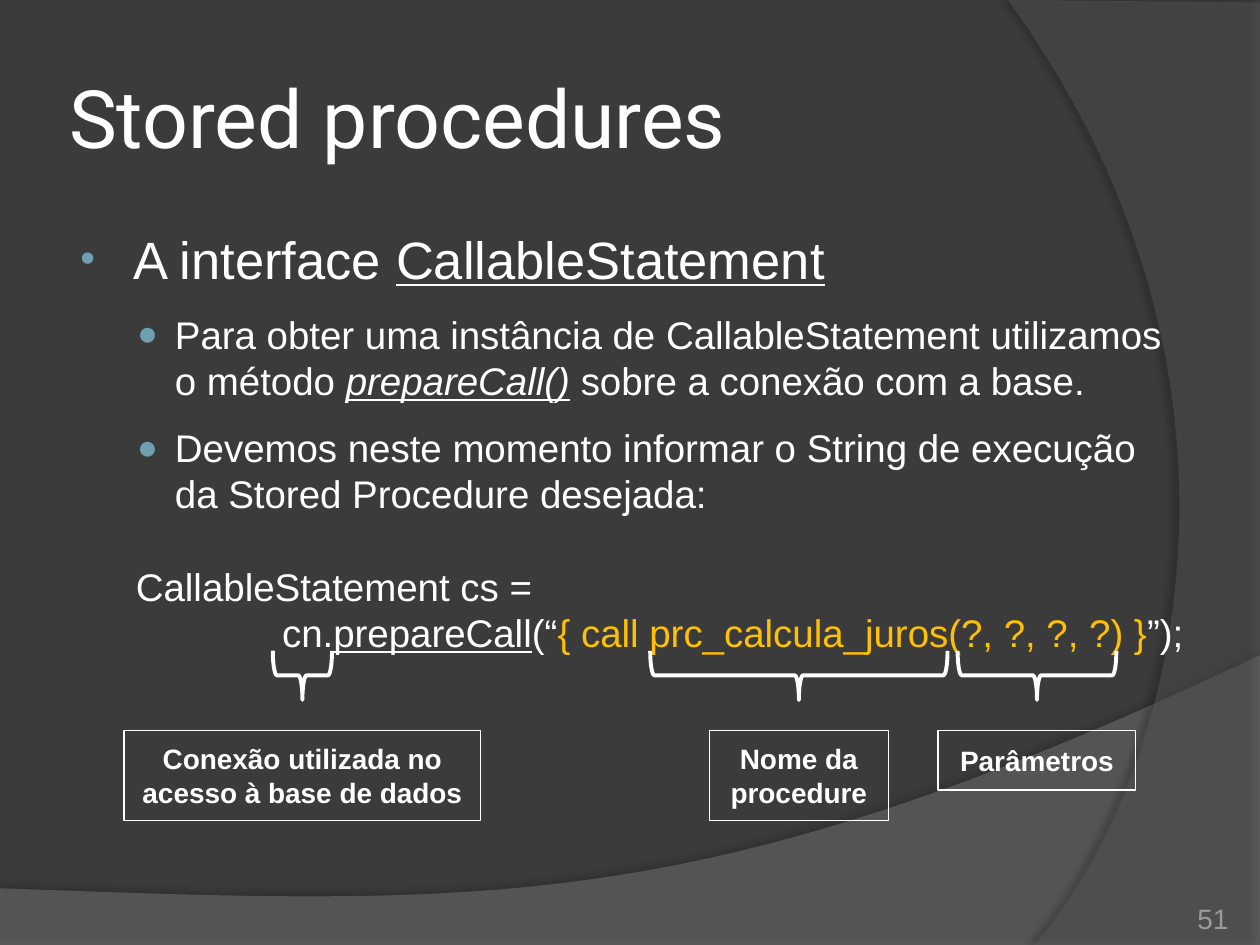
from lxml.etree import SubElement
from pptx import Presentation
from pptx.dml.color import RGBColor as Rgb
from pptx.enum.shapes import MSO_SHAPE as Preset
from pptx.enum.text import MSO_ANCHOR as Anchor, PP_ALIGN as Align
from pptx.oxml.ns import qn
from pptx.util import Inches, Pt

COLORS = {
    "background": "3B3B3B", "wave": "7F7F7F", "arc": "5E5E5E", "shadow": "000000",
    "text": "FFFFFF", "bullet": "6EA0B0", "call": "FFC000", "number": "9D9B9A",
}
TITLE = {"name": "Roboto", "size": Pt(46)}
HEADING = {"name": "Arial", "size": Pt(30)}
BODY = {"name": "Arial", "size": Pt(22)}
LABEL = {"name": "Arial", "size": Pt(16), "bold": True}
NUMBER = {"name": "Arial", "size": Pt(16)}
UNDERLINE = {"underline": True}
METHOD = {"underline": True, "italic": True}


def color(key):
    return Rgb.from_string(COLORS[key])


def add_run(paragraph, text, formats, color_key="text"):
    run = paragraph.add_run()
    run.text = text
    for attribute, value in formats.items():
        setattr(run.font, attribute, value)
    run.font.color.rgb = color(color_key)


def set_frame(frame, anchor, margin=None):
    frame.word_wrap = True
    frame.vertical_anchor = anchor
    if margin is not None:
        for side in ("left", "top", "right", "bottom"):
            setattr(frame, f"margin_{side}", Inches(margin))


def add_textbox(slide, box, anchor, margin=None):
    frame = slide.shapes.add_textbox(*map(Inches, box)).text_frame
    set_frame(frame, anchor, margin)
    return frame


def set_bullet(properties, char, percent):
    bullet_color = SubElement(properties, qn("a:buClr"))
    SubElement(bullet_color, qn("a:srgbClr"), val=COLORS["bullet"])
    SubElement(properties, qn("a:buSzPct"), val=str(percent * 1000))
    SubElement(properties, qn("a:buFont"), typeface="Arial")
    SubElement(properties, qn("a:buChar"), char=char)


def add_paragraph(frame, runs, formats, left, hang=0, before=0, bullet=None, align=Align.LEFT):
    first = frame.paragraphs[0]
    paragraph = frame.add_paragraph() if first.runs else first
    paragraph.alignment = align
    paragraph.space_before = Pt(before)
    properties = paragraph._p.get_or_add_pPr()
    properties.set("marL", str(Inches(left)))
    properties.set("indent", str(-Inches(hang)))
    if bullet:
        set_bullet(properties, *bullet)
    for text, extra, *color_key in runs:
        add_run(paragraph, text, {**formats, **extra}, *color_key)


def curve(start, control1, control2, end, steps=60):
    """Points of a cubic curve after its start."""
    for step in range(1, steps + 1):
        t = step / steps
        weights = ((1 - t) ** 3, 3 * t * (1 - t) ** 2, 3 * t * t * (1 - t), t ** 3)
        yield tuple(sum(w * p for w, p in zip(weights, axis))
                    for axis in zip(start, control1, control2, end))


def add_backdrop(slide, points, fill_key, opacity, shadow_opacity, distance, direction):
    start, *rest = [(Inches(x), Inches(y)) for x, y in points]
    builder = slide.shapes.build_freeform(*start)
    builder.add_line_segments(rest, close=True)
    shape = builder.convert_to_shape()
    shape.fill.solid()
    shape.fill.fore_color.rgb = color(fill_key)
    shape.line.fill.background()
    shape.shadow.inherit = False
    properties = shape._element.spPr
    fill_color = properties.find(qn("a:solidFill")).find(qn("a:srgbClr"))
    SubElement(fill_color, qn("a:alpha"), val=str(opacity * 1000))
    shadow = SubElement(
        properties.find(qn("a:effectLst")), qn("a:outerShdw"),
        blurRad=str(Pt(4)), dist=str(Pt(distance)), dir=str(direction * 60000),
        algn="ctr", rotWithShape="0")
    shadow_color = SubElement(shadow, qn("a:srgbClr"), val=COLORS["shadow"])
    SubElement(shadow_color, qn("a:alpha"), val=str(shadow_opacity * 1000))


def add_outline(slide, preset, box, width):
    shape = slide.shapes.add_shape(preset, *map(Inches, box))
    shape.shadow.inherit = False
    shape.fill.background()
    shape.line.color.rgb = color("text")
    shape.line.width = Pt(width)
    return shape


def add_callout(slide, text, center, span, width, height):
    """A brace under the code, with its label centred below."""
    depth, middle, label_top = 0.39, 5.36, 5.8
    brace_box = (center - depth / 2, middle - span / 2, depth, span)
    add_outline(slide, Preset.RIGHT_BRACE, brace_box, 2.25).rotation = 90
    label_box = (center - width / 2, label_top, width, height)
    frame = add_outline(slide, Preset.RECTANGLE, label_box, 0.75).text_frame
    set_frame(frame, Anchor.MIDDLE)
    add_paragraph(frame, [(text, {})], LABEL, 0, align=Align.CENTER)


def add_body(slide):
    frame = add_textbox(slide, (0.5, 1.75, 8.99, 4.95), Anchor.TOP)
    add_paragraph(frame, [("A interface ", {}), ("CallableStatement", UNDERLINE)],
                  HEADING, 0.46, 0.42, bullet=("•", 80))
    points = [
        [("Para obter uma instância de CallableStatement utilizamos o método ", {}),
         ("prepareCall()", METHOD), (" sobre a conexão com a base.", {})],
        [("Devemos neste momento informar o String de execução da "
          "Stored Procedure desejada:", {})],
    ]
    for runs in points:
        add_paragraph(frame, runs, BODY, 0.79, 0.3, before=12, bullet=("●", 90))
    # Code example
    add_paragraph(frame, [("CallableStatement cs =", {})], BODY, 0.48, before=26.5)
    call = [("cn.", {}), ("prepareCall", UNDERLINE), ("(“", {}),
            ("{ call prc_calcula_juros(?, ?, ?, ?) }", {}, "call"), ("”);", {})]
    add_paragraph(frame, call, BODY, 0.48, align=Align.RIGHT)


def main():
    deck = Presentation()
    deck.slide_width, deck.slide_height = Inches(10), Inches(7.5)
    slide = deck.slides.add_slide(deck.slide_layouts[6])
    slide.background.fill.solid()
    slide.background.fill.fore_color.rgb = color("background")

    # Backdrop
    wave = [(0, 7.05), (0, 7.51), (10, 7.51), (10, 5.2),
            *curve((10, 5.2), (5.59, 7.29), (3.91, 7.19), (0, 7.05))]
    add_backdrop(slide, wave, "wave", 45, 35, 3.5, 270)
    arc = [(10, 0.02), (10, 7.5), (8.21, 7.5),
           *curve((8.21, 7.5), (9.35, 6.19), (10.18, 3), (8, 0))]
    add_backdrop(slide, arc, "arc", 40, 45, 4, 180)

    # Title, body and slide number
    title = add_textbox(slide, (0.5, 0.3, 8.17, 1.25), Anchor.MIDDLE, 0.05)
    add_paragraph(title, [("Stored procedures", {})], TITLE, 0)
    add_body(slide)
    number = add_textbox(slide, (8.92, 7.02, 0.83, 0.4), Anchor.BOTTOM, 0)
    add_paragraph(number, [("51", {}, "number")], NUMBER, 0, align=Align.RIGHT)

    # Parts of the call
    callouts = [
        ("Conexão utilizada no acesso à base de dados", 2.4, 0.47, 2.83, 0.71),
        ("Nome da procedure", 6.34, 2.36, 1.42, 0.71),
        ("Parâmetros", 8.23, 1.26, 1.57, 0.47),
    ]
    for callout in callouts:
        add_callout(slide, *callout)
    deck.save("out.pptx")


main()
